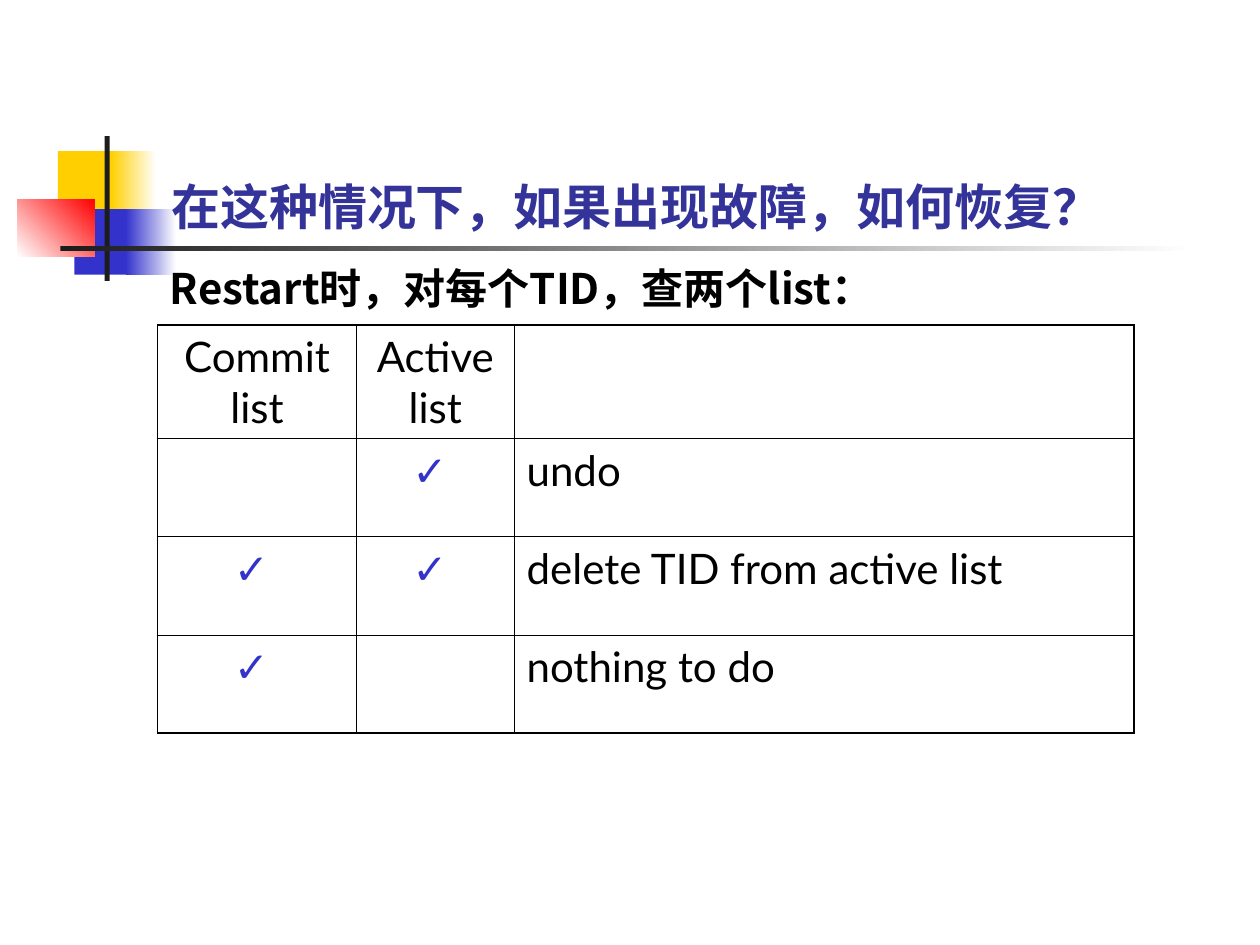
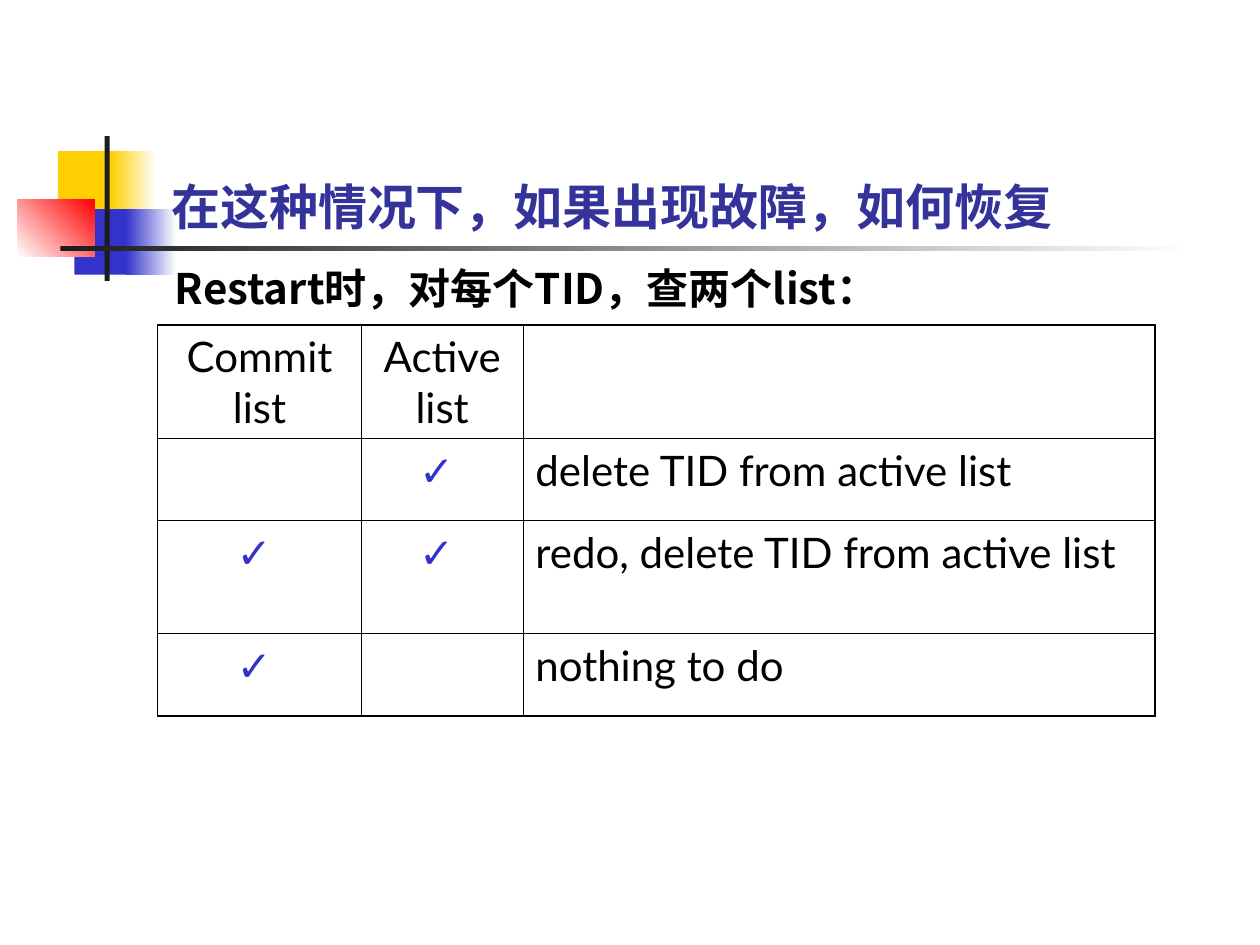
import pptx
import pptx.dml.color
import pptx.enum.shapes
import pptx.enum.text
import pptx.oxml.ns
import pptx.util
from lxml import etree
from pptx.util import Inches

LATIN_FONT = "Lato"
CHINESE_FONT = "Noto Sans CJK SC"
BLACK, WHITE, INK = "000000", "FFFFFF", "1C1C1C"
YELLOW, BLUE, RED, TITLE_BLUE = "FFCF01", "3333CC", "FF0000", "333399"
CHECK = "✓"
OUTER_LINE, INNER_LINE = 1.08, 0.45
HEADINGS = ("Commit list", "Active list", "")
DECORATION = (
    (0.46, 1.2, 0.48, 0.52, (YELLOW,), 0),
    (0.88, 1.2, 0.36, 0.52, (YELLOW, WHITE), 0),
    (0.59, 1.66, 0.46, 0.52, (BLUE,), 0),
    (1, 1.66, 0.4, 0.52, (BLUE, WHITE), 0),
    (0.14, 1.58, 0.61, 0.46, (WHITE, RED), 45),
    (0.83, 1.08, 0.04, 1.15, (INK,), 0),
    (0.48, 1.95, 9, 0.04, (INK, WHITE), 0),
)


def color(hex_string):
    """Turn a hex string into a colour."""
    return pptx.dml.color.RGBColor.from_string(hex_string)


def add_element(parent, tag, **attributes):
    """Append a drawing element with its attributes."""
    return etree.SubElement(parent, pptx.oxml.ns.qn(f"a:{tag}"), attributes)


def format_text(paragraph, size, hex_string, latin=LATIN_FONT, bold=False):
    """Format every run of a paragraph."""
    for span in paragraph.runs:
        span.font.size = pptx.util.Pt(size)
        span.font.bold = bold
        span.font.name = latin
        span.font.color.rgb = color(hex_string)
        add_element(span.font._element, "ea", typeface=CHINESE_FONT)


def add_block(page, left, top, width, height, colors, angle):
    """Add a borderless rectangle with a plain or gradient fill."""
    block = page.shapes.add_shape(
        pptx.enum.shapes.MSO_SHAPE.RECTANGLE,
        Inches(left), Inches(top), Inches(width), Inches(height))
    block.shadow.inherit = False
    block.line.fill.background()
    if len(colors) == 1:
        block.fill.solid()
        block.fill.fore_color.rgb = color(colors[0])
    else:
        block.fill.gradient()
        block.fill.gradient_angle = angle
        for stop, hex_string in zip(block.fill.gradient_stops, colors):
            stop.color.rgb = color(hex_string)
    return block


def decorate_layout(layout, page):
    """Draw the shared corner decoration and move it to the layout."""
    for block in DECORATION:
        layout.shapes.element.append(add_block(page, *block).element)


def set_title(page, text, latin):
    """Place and format the slide title."""
    title = page.shapes.title
    title.left, title.top = Inches(1.26), Inches(0.67)
    title.width, title.height = Inches(8.52), Inches(1.25)
    frame = title.text_frame
    frame.text = text
    frame.vertical_anchor = pptx.enum.text.MSO_ANCHOR.BOTTOM
    para = frame.paragraphs[0]
    para.alignment = pptx.enum.text.PP_ALIGN.LEFT
    format_text(para, 28, TITLE_BLUE, latin, True)


def add_lead(page, left):
    """Add the sentence above the table."""
    box = page.shapes.add_textbox(Inches(left), Inches(2.08), Inches(8.5), Inches(4.5))
    box.text_frame.word_wrap = True
    para = box.text_frame.paragraphs[0]
    para.text = "Restart时，对每个TID，查两个list："
    para.line_spacing = 0.9
    format_text(para, 24, BLACK, CHINESE_FONT, True)


def set_borders(cell, widths):
    """Draw the left, right, top and bottom borders of a cell."""
    properties = cell._tc.get_or_add_tcPr()
    for side, width in zip("LRTB", widths):
        line = add_element(properties, f"ln{side}", w=str(pptx.util.Pt(width)))
        add_element(add_element(line, "solidFill"), "srgbClr", val=BLACK)


def add_check_bullet(paragraph):
    """Give a paragraph a blue check mark as its bullet."""
    properties = paragraph._p.get_or_add_pPr()
    properties.set("marL", "0")
    properties.set("indent", "0")
    add_element(add_element(properties, "buClr"), "srgbClr", val=BLUE)
    add_element(properties, "buFont", typeface=LATIN_FONT)
    add_element(properties, "buChar", char=CHECK)


def fill_cell(cell, text, centered):
    """Write and format the text of a cell."""
    cell.fill.background()
    cell.text = " " if text == CHECK else text
    para = cell.text_frame.paragraphs[0]
    if centered:
        para.alignment = pptx.enum.text.PP_ALIGN.CENTER
    if text == CHECK:
        add_check_bullet(para)
    format_text(para, 24, BLACK)


def add_list_table(page, widths, heights, actions):
    """Add the table of list membership and recovery action."""
    rows = (HEADINGS, ("", CHECK, actions[0]),
            (CHECK, CHECK, actions[1]), (CHECK, "", actions[2]))
    table = page.shapes.add_table(
        len(rows), len(widths), Inches(1.25), Inches(2.58),
        Inches(sum(widths)), Inches(sum(heights))).table
    table.first_row = table.horz_banding = False
    for column, width in zip(table.columns, widths):
        column.width = Inches(width)
    last_row, last_column = len(rows) - 1, len(widths) - 1
    for i, texts in enumerate(rows):
        table.rows[i].height = Inches(heights[i])
        for j, text in enumerate(texts):
            edges = (j == 0, j == last_column, i == 0, i == last_row)
            cell = table.cell(i, j)
            set_borders(cell, [OUTER_LINE if edge else INNER_LINE for edge in edges])
            fill_cell(cell, text, j < last_column)


def main():
    """Build the two recovery slides."""
    deck = pptx.Presentation()
    deck.slide_width, deck.slide_height = Inches(10), Inches(7.5)
    layout = deck.slide_layouts[5]

    page = deck.slides.add_slide(layout)
    decorate_layout(layout, page)
    set_title(page, "在这种情况下，如果出现故障，如何恢复？", LATIN_FONT)
    add_lead(page, 1.25)
    add_list_table(page, (1.58, 1.25, 4.92), (0.9, 0.78, 0.78, 0.78),
                   ("undo", "delete TID from active list", "nothing to do"))

    page = deck.slides.add_slide(layout)
    set_title(page, "在这种情况下，如果出现故障，如何恢复", "Times New Roman")
    add_lead(page, 1.29)
    add_list_table(page, (1.62, 1.28, 5.02), (0.9, 0.65, 0.9, 0.65),
                   ("delete TID from active list",
                    "redo, delete TID from active list", "nothing to do"))

    deck.save("out.pptx")


if __name__ == "__main__":
    main()
